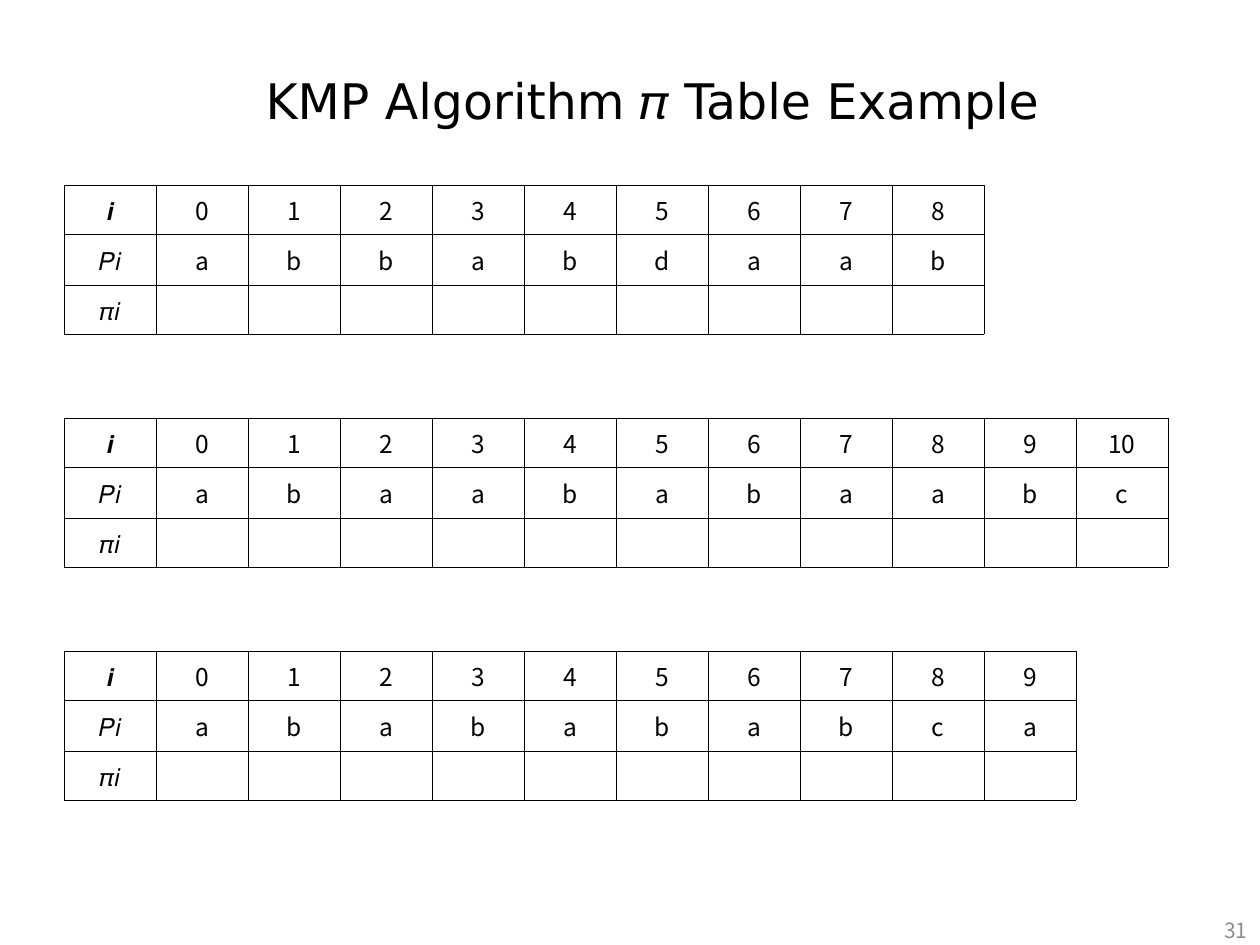
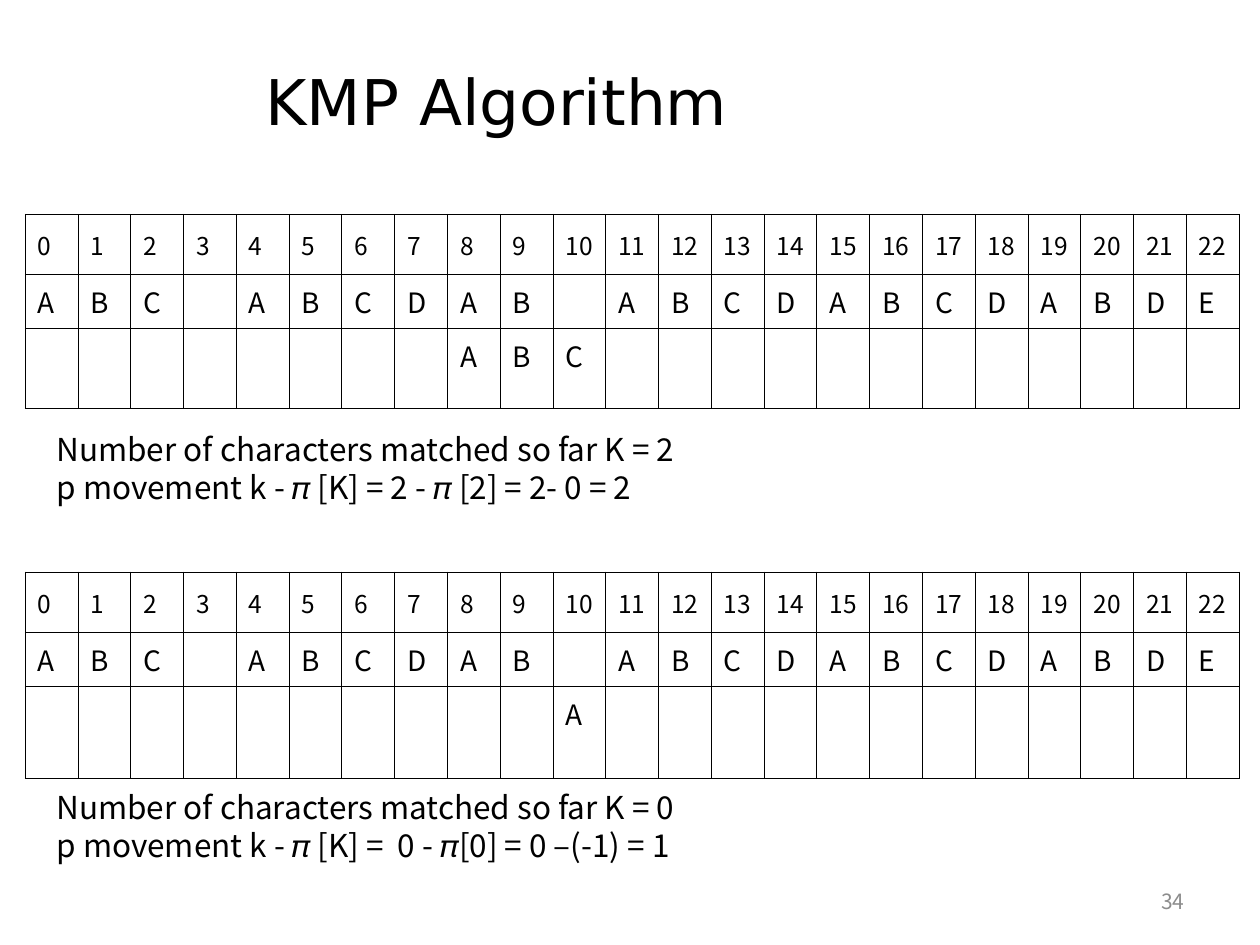
"""Build two slides on the KMP algorithm: pi table exercises and a matching trace."""
from lxml import etree
from pptx import Presentation
from pptx.dml.color import RGBColor
from pptx.enum.text import MSO_ANCHOR, PP_ALIGN
from pptx.oxml.ns import qn
from pptx.util import Inches, Pt

BLACK = RGBColor(0x00, 0x00, 0x00)
GRAY = RGBColor(0x8C, 0x8C, 0x8C)
TITLE_FONT, BODY_FONT = "DejaVu Sans", "Noto Sans CJK KR"
LEFT, RIGHT, CENTER, JUSTIFY = PP_ALIGN.LEFT, PP_ALIGN.RIGHT, PP_ALIGN.CENTER, PP_ALIGN.JUSTIFY
TOP, MIDDLE = MSO_ANCHOR.TOP, MSO_ANCHOR.MIDDLE

PATTERNS = ["abbabdaab", "abaababaabc", "ababababca"]
ROW_LABELS = ["𝒊", "𝑃𝑖", "𝜋𝑖"]
SEARCHED_TEXT = "ABC ABCDAB ABCDABCDABDE"
TRACE_STEPS = [
    {"pattern": "ABC", "shift": 8, "pattern_height": 0.63,
     "notes": ["Number of characters matched so far K = 2",
               "p movement k - 𝜋 [K] = 2 - 𝜋 [2] = 2- 0 = 2"]},
    {"pattern": "A", "shift": 10, "pattern_height": 0.73,
     "notes": ["Number of characters matched so far K = 0",
               "p movement k - 𝜋 [K] =  0 - 𝜋[0] = 0 –(-1) = 1"]},
]

PI_LEFT, PI_TOP, PI_STEP, PI_COLUMN = 0.51, 1.47, 1.85, 0.73
PI_ROWS = [0.39, 0.4, 0.39]
PI_MARGINS = {"margin_left": Inches(0.07), "margin_right": Inches(0.07),
              "margin_top": Inches(0.02), "margin_bottom": Inches(0.02)}
TRACE_LEFT, TRACE_TOP, TRACE_STEP, TRACE_WIDTH = 0.2, 1.7, 2.84, 9.64
NOTE_OFFSET = 1.66


def write(paragraph, text, size, font=BODY_FONT, color=BLACK, align=LEFT):
    paragraph.alignment = align
    run = paragraph.add_run()
    run.text = text
    for name, value in {"size": Pt(size), "name": font}.items():
        setattr(run.font, name, value)
    run.font.color.rgb = color


def add_text(slide, box, lines, size, spacing=None, **style):
    frame = slide.shapes.add_textbox(*map(Inches, box)).text_frame
    frame.word_wrap = True
    frame.vertical_anchor = MIDDLE
    for index, line in enumerate(lines):
        paragraph = frame.add_paragraph() if index else frame.paragraphs[0]
        paragraph.line_spacing = spacing
        write(paragraph, line, size, **style)


def add_slide(deck, title, title_size, number, number_at):
    slide = deck.slides.add_slide(deck.slide_layouts[6])
    add_text(slide, (2.01, 0.29, 7.06, 1.01), [title], title_size, font=TITLE_FONT)
    add_text(slide, (*number_at, 2.33, 0.4), [number], 12, color=GRAY, align=RIGHT)
    return slide


def outline(cell, width):
    cell.fill.background()
    properties = cell._tc.get_or_add_tcPr()
    for index, side in enumerate(("a:lnL", "a:lnR", "a:lnT", "a:lnB")):
        line = etree.Element(qn(side), w=str(Pt(width)))
        fill = etree.SubElement(line, qn("a:solidFill"))
        etree.SubElement(fill, qn("a:srgbClr"), val=str(BLACK))
        properties.insert(index, line)


def add_grid(slide, left, top, column, heights, rows, sizes, align, border,
             anchors=(MIDDLE,) * 3, margins=None):
    count = len(rows[0])
    table = slide.shapes.add_table(len(rows), count, Inches(left), Inches(top),
                                   Inches(column * count), Inches(sum(heights))).table
    table.first_row = table.horz_banding = False
    for table_column in table.columns:
        table_column.width = Inches(column)
    for r, (texts, height) in enumerate(zip(rows, heights)):
        table.rows[r].height = Inches(height)
        for c, text in enumerate(texts):
            cell = table.cell(r, c)
            for name, value in {"vertical_anchor": anchors[r], **(margins or {})}.items():
                setattr(cell, name, value)
            outline(cell, border)
            if text.strip():
                write(cell.text_frame.paragraphs[0], text, sizes[r], align=align)


def indexes(text):
    return [str(i) for i in range(len(text))]


deck = Presentation()
deck.slide_width, deck.slide_height = Inches(10), Inches(7.5)

exercise = add_slide(deck, "KMP Algorithm 𝜋 Table Example", 28, "31", (7.67, 7.18))
for k, pattern in enumerate(PATTERNS):
    values = [indexes(pattern), list(pattern), [""] * len(pattern)]
    rows = [[label, *row] for label, row in zip(ROW_LABELS, values)]
    add_grid(exercise, PI_LEFT, PI_TOP + k * PI_STEP, PI_COLUMN, PI_ROWS, rows,
             (14, 14, 14), CENTER, 0.28, margins=PI_MARGINS)

trace = add_slide(deck, "KMP Algorithm", 36, "34", (7.17, 6.95))
length = len(SEARCHED_TEXT)
for k, step in enumerate(TRACE_STEPS):
    top = TRACE_TOP + k * TRACE_STEP
    aligned = (" " * step["shift"] + step["pattern"]).ljust(length)
    add_grid(trace, TRACE_LEFT, top, TRACE_WIDTH / length,
             [0.48, 0.43, step["pattern_height"]],
             [indexes(SEARCHED_TEXT), SEARCHED_TEXT, aligned],
             (14, 16, 16), JUSTIFY, 0.56, anchors=(MIDDLE, MIDDLE, TOP))
    add_text(trace, (0.35, top + NOTE_OFFSET, 5.59, 0.71), step["notes"], 18,
             spacing=Pt(21.4), align=JUSTIFY)

deck.save("out.pptx")
